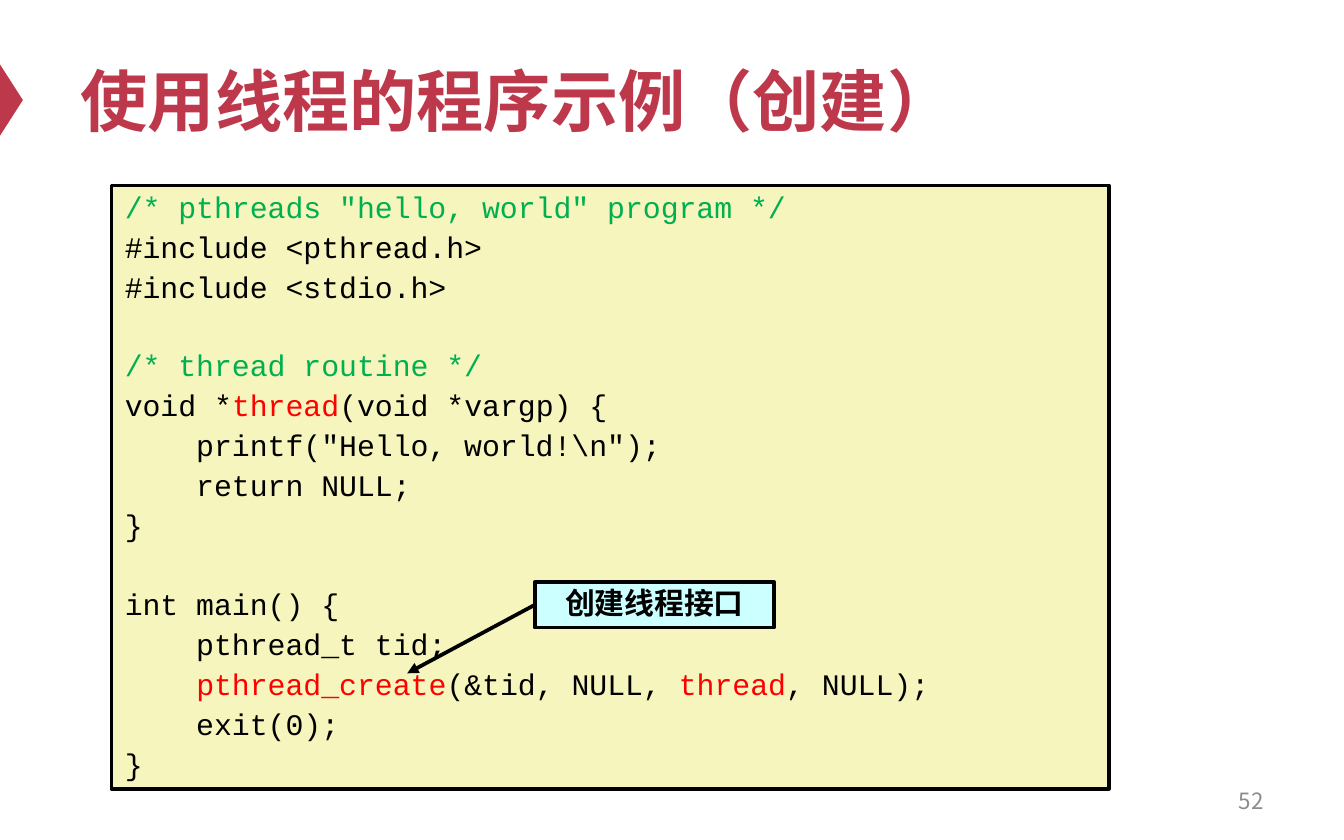
import pptx
import pptx.util
import pptx.dml.color
import pptx.enum.shapes
import pptx.enum.text
import pptx.oxml.ns
from lxml import etree

Pt = pptx.util.Pt
Inches = pptx.util.Inches
Align = pptx.enum.text.PP_ALIGN
Kind = pptx.enum.shapes.MSO_SHAPE
qn = pptx.oxml.ns.qn

CJK = "Noto Sans CJK SC"
MONO = "Courier New"
CRIMSON, BLACK, RED, GREEN, GREY = "BE384B", "000000", "FF0000", "00B050", "8C8C8C"

# Blocks are split by a gap; bars enclose the names shown in red.
BLOCKS = [
    r'''/* pthreads "hello, world" program */
#include <pthread.h>
#include <stdio.h>''',
    r'''/* thread routine */
void *|thread|(void *vargp) {
    printf("Hello, world!\n");
    return NULL;
}''',
    r'''int main() {
    pthread_t tid;
    |pthread_create|(&tid, NULL, |thread|, NULL);
    exit(0);
}''',
]
LEAD = 4.2   # points before each code line
PITCH = 20.5  # points from one code line to the next


def color(code):
    return pptx.dml.color.RGBColor.from_string(code)


def add_run(para, text, tint, **style):
    run = para.add_run()
    run.text = text
    for key, value in style.items():
        setattr(run.font, key, value)
    run.font.color.rgb = color(tint)
    etree.SubElement(run.font._element, qn("a:ea"), typeface=CJK)


def set_frame(frame):
    form = {"word_wrap": True, "vertical_anchor": pptx.enum.text.MSO_ANCHOR.MIDDLE}
    for key, value in form.items():
        setattr(frame, key, value)
    return frame


def add_box(slide, kind, box, fill, edge=None):
    shape = slide.shapes.add_shape(kind, *map(Inches, box))
    shape.shadow.inherit = False
    shape.fill.solid()
    shape.fill.fore_color.rgb = color(fill)
    if edge:
        shape.line.color.rgb = color(edge)
        shape.line.width = Pt(2)
    else:
        shape.line.fill.background()
    set_frame(shape.text_frame)
    return shape


def add_title(slide, text):
    mark = add_box(slide, Kind.ISOSCELES_TRIANGLE, (-0.18, 0.66, 0.53, 0.17), CRIMSON)
    mark.rotation = 90
    title = slide.shapes.title
    place = {"left": 0.5, "top": 0.25, "width": 9, "height": 0.98}
    for key, value in place.items():
        setattr(title, key, Inches(value))
    para = set_frame(title.text_frame).paragraphs[0]
    para.alignment = Align.LEFT
    add_run(para, text, CRIMSON, size=Pt(36), name="Arial", bold=True)


def add_code(slide, box):
    frame = add_box(slide, Kind.RECTANGLE, box, "F6F5BD", BLACK).text_frame
    para = frame.paragraphs[0]
    for b, block in enumerate(BLOCKS):
        for n, line in enumerate(block.split("\n")):
            if b or n:
                para = frame.add_paragraph()
                para.space_before = Pt(LEAD if n else LEAD + PITCH)
            para.alignment = Align.LEFT
            para.line_spacing = 0.9
            base = GREEN if line.startswith("/*") else BLACK
            for i, part in enumerate(line.split("|")):
                add_run(para, part, RED if i % 2 else base, size=Pt(16), name=MONO)


def add_label(slide, text, box):
    label = add_box(slide, Kind.RECTANGLE, box, "CCFFFF", BLACK)
    para = label.text_frame.paragraphs[0]
    para.alignment = Align.CENTER
    para.line_spacing = 0.9
    add_run(para, text, BLACK, size=Pt(16), name=CJK, bold=True)


def add_arrow(slide, start, end):
    line = slide.shapes.add_connector(
        pptx.enum.shapes.MSO_CONNECTOR.STRAIGHT, *map(Inches, start + end))
    line.line.color.rgb = color(BLACK)
    line.line.width = Pt(2)
    etree.SubElement(line.line._get_or_add_ln(), qn("a:tailEnd"), type="triangle")
    etree.SubElement(line._element.spPr, qn("a:effectLst"))


def add_number(slide, text, box):
    frame = set_frame(slide.shapes.add_textbox(*map(Inches, box)).text_frame)
    para = frame.paragraphs[0]
    para.alignment = Align.RIGHT
    add_run(para, text, GREY, size=Pt(12), name=CJK)


def main():
    deck = pptx.Presentation()
    deck.slide_width, deck.slide_height = Inches(10), Inches(6.25)
    slide = deck.slides.add_slide(deck.slide_layouts[5])
    add_title(slide, "使用线程的程序示例（创建）")
    add_number(slide, "52", (7.17, 5.79, 2.33, 0.33))
    add_code(slide, (0.83, 1.38, 7.42, 4.49))
    left, top, wide, high = 3.98, 4.33, 1.78, 0.34
    add_label(slide, "创建线程接口", (left, top, wide, high))
    add_arrow(slide, (left, top + high / 2), (3.03, 5.01))
    deck.save("out.pptx")


if __name__ == "__main__":
    main()
